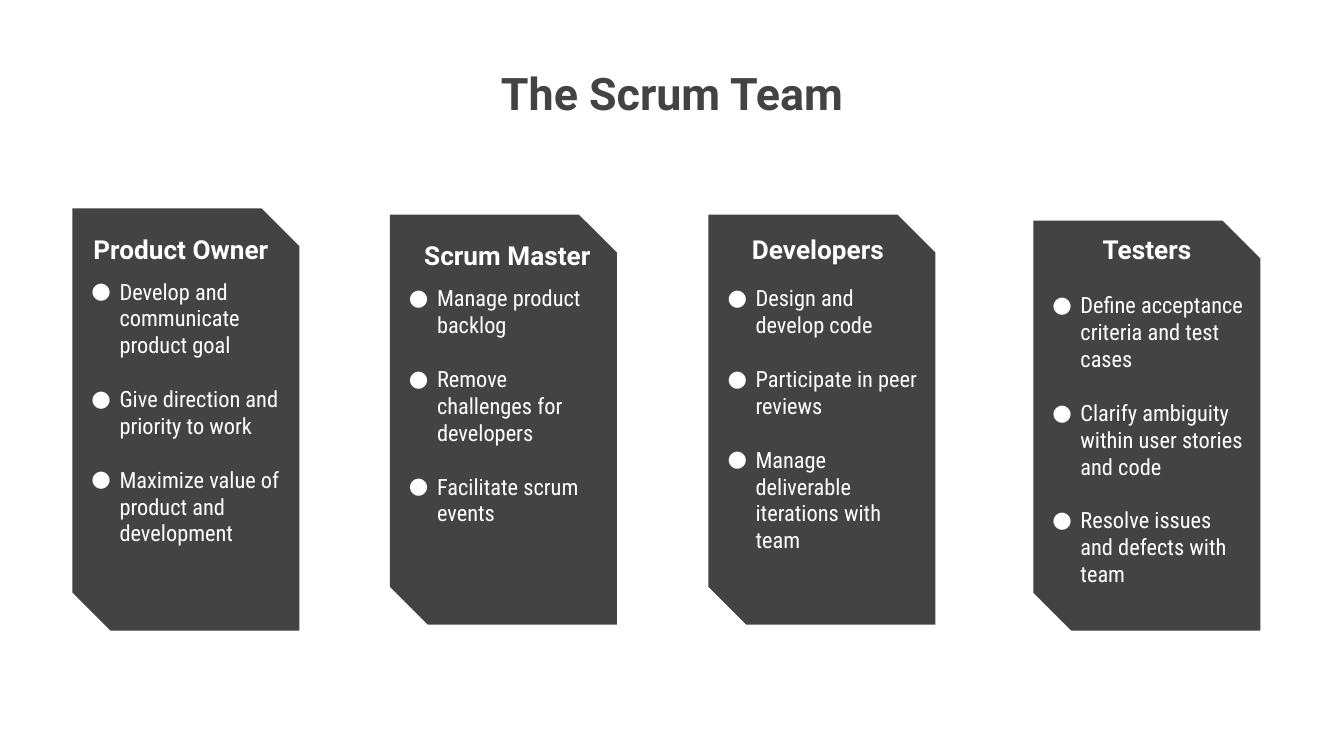
from lxml import etree
from pptx import Presentation
from pptx.dml.color import RGBColor
from pptx.enum.shapes import MSO_SHAPE
from pptx.enum.text import MSO_ANCHOR, PP_ALIGN
from pptx.oxml.ns import qn
from pptx.util import Cm, Pt

SNIP = MSO_SHAPE.SNIP_2_DIAG_RECTANGLE
TOP, BOTTOM = MSO_ANCHOR.TOP, MSO_ANCHOR.BOTTOM
LEFT, CENTER = PP_ALIGN.LEFT, PP_ALIGN.CENTER

# Content: role, duties, and the places of card, heading and list in cm
TITLE = "The Scrum Team"
ROLES = [
    dict(name="Product Owner", card=(1.37, 3.94, 7.98), head=(1.35, 3.4),
         top=5.0, pad=0, duties=[
             "Develop and communicate product goal",
             "Give direction and priority to work",
             "Maximize value of product and development"]),
    dict(name="Scrum Master", card=(7.37, 4.06, 7.75), head=(7.52, 3.51),
         top=5.13, pad=0.25, duties=[
             "Manage product backlog",
             "Remove challenges for developers",
             "Facilitate scrum events"]),
    dict(name="Developers", card=(13.39, 4.06, 7.75), head=(13.39, 3.4),
         top=5.13, pad=0.25, duties=[
             "Design and develop code",
             "Participate in peer reviews",
             "Manage deliverable iterations with team"]),
    dict(name="Testers", card=(19.53, 4.17, 7.75), head=(19.61, 3.4),
         top=5.26, pad=0.25, duties=[
             "Define acceptance criteria and test cases",
             "Clarify ambiguity within user stories and code",
             "Resolve issues and defects with team"]),
]

# Formats
COLORS = {"dark": "434343", "light": "FFFFFF"}
FONTS = {
    "title": dict(name="Roboto", size=Pt(24), bold=True),
    "head": dict(name="Roboto", size=Pt(14), bold=True),
    "list": dict(name="Roboto Condensed", size=Pt(12), bold=False),
}
WIDE, HEAD_W, HEAD_H, LIST_H = 4.29, 4.14, 1.85, 6.55
PAD, GAP = 0.25, Pt(14.4)


def rgb(key):
    return RGBColor.from_string(COLORS[key])


def bullet(para):
    props = para._p.get_or_add_pPr()
    props.set("marL", str(Cm(0.64)))
    props.set("indent", str(-Cm(0.53)))
    tint = etree.SubElement(props, qn("a:buClr"))
    etree.SubElement(tint, qn("a:srgbClr"), val=COLORS["light"])
    etree.SubElement(props, qn("a:buFont"), typeface="Roboto Condensed")
    etree.SubElement(props, qn("a:buChar"), char="●")


def add_text(slide, place, lines, kind, color, anchor=TOP, align=CENTER,
             right=PAD):
    frame = slide.shapes.add_textbox(*map(Cm, place)).text_frame
    form = dict(word_wrap=True, vertical_anchor=anchor, margin_left=Cm(PAD),
                margin_top=Cm(PAD), margin_right=Cm(right),
                margin_bottom=Cm(PAD))
    for key, value in form.items():
        setattr(frame, key, value)
    for i, line in enumerate(lines):
        para = frame.add_paragraph() if i else frame.paragraphs[0]
        para.alignment = align
        if kind == "list":
            bullet(para)
        if i:
            para.space_before = GAP
        run = para.add_run()
        run.text = line
        for key, value in FONTS[kind].items():
            setattr(run.font, key, value)
        run.font.color.rgb = rgb(color)


def add_card(slide, left, top, high):
    card = slide.shapes.add_shape(SNIP, *map(Cm, (left, top, WIDE, high)))
    card.adjustments[0] = 0
    card.adjustments[1] = 0.167
    card.shadow.inherit = False
    card.fill.solid()
    card.fill.fore_color.rgb = rgb("dark")
    card.line.fill.background()


deck = Presentation()
deck.slide_width, deck.slide_height = Cm(25.4), Cm(14.29)
slide = deck.slides.add_slide(deck.slide_layouts[6])

# Title
add_text(slide, (5.46, 0.99, 14.48, 2.62), [TITLE], "title", "dark")

# One card per role
for role in ROLES:
    add_card(slide, *role["card"])
    add_text(slide, (*role["head"], HEAD_W, HEAD_H), [role["name"]],
             "head", "light", anchor=BOTTOM)
    add_text(slide, (role["card"][0], role["top"], WIDE, LIST_H),
             role["duties"], "list", "light", align=LEFT, right=role["pad"])

deck.save("out.pptx")
